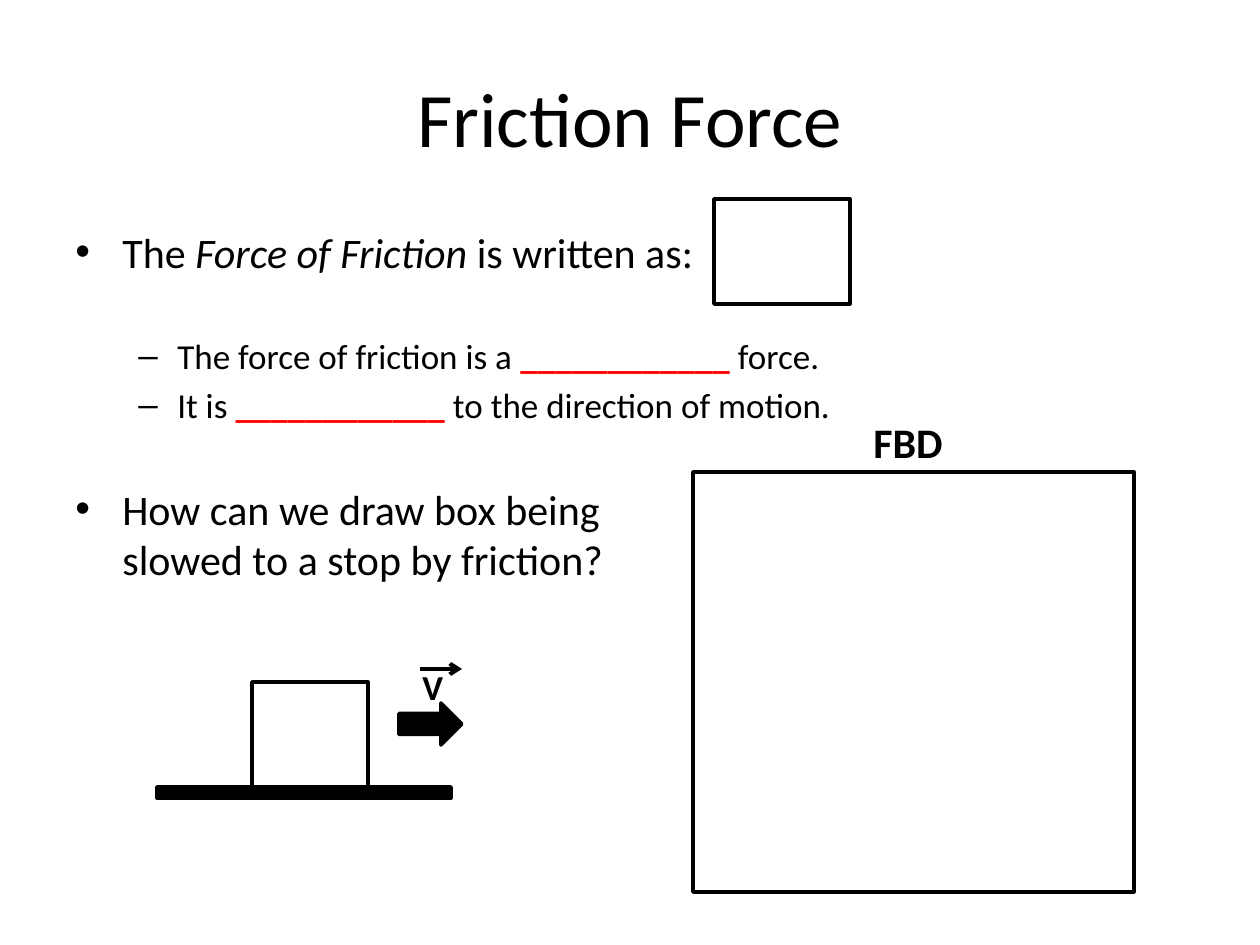
import pptx
import pptx.dml.color
import pptx.enum.shapes
import pptx.enum.text
import pptx.oxml.ns
import pptx.util
from lxml import etree

PX = 914400 // 126
COLORS = {"ink": "000000", "blank": "FF0000"}
SHAPES = pptx.enum.shapes.MSO_SHAPE
ALIGN = pptx.enum.text.PP_ALIGN
ANCHOR = pptx.enum.text.MSO_ANCHOR
Pt = pptx.util.Pt
qn = pptx.oxml.ns.qn


def px(*vals):
    return [pptx.util.Emu(val * PX) for val in vals]


def hue(name):
    return pptx.dml.color.RGBColor.from_string(COLORS[name])


class Deck:
    face = "Calibri"

    def __init__(self):
        self.prs = pptx.Presentation()
        self.prs.slide_width, self.prs.slide_height = px(1260, 945)
        self.slide = self.prs.slides.add_slide(self.prs.slide_layouts[5])
        self.items = self.slide.shapes

    def run(self, para, text, size, color="ink", bold=False, italic=False):
        run = para.add_run()
        run.text = text
        font = run.font
        font.name, font.size = self.face, Pt(size)
        font.bold, font.italic = bold, italic
        font.color.rgb = hue(color)

    def title(self, text, box):
        shape = self.items.title
        shape.left, shape.top, shape.width, shape.height = px(*box)
        shape.text_frame.vertical_anchor = ANCHOR.MIDDLE
        para = shape.text_frame.paragraphs[0]
        para.alignment = ALIGN.CENTER
        self.run(para, text, 44)

    def text(self, box, wrap=True):
        frame = self.items.add_textbox(*px(*box)).text_frame
        frame.word_wrap = wrap
        return frame

    def label(self, text, size, box):
        para = self.text(box, wrap=False).paragraphs[0]
        self.run(para, text, size, bold=True)

    def bullet(self, para, mark, left, hang, gap):
        props = para._p.get_or_add_pPr()
        props.set("marL", str(left * PX))
        props.set("indent", str(-hang * PX))
        etree.SubElement(props, qn("a:buFont")).set("typeface", "Arial")
        etree.SubElement(props, qn("a:buChar")).set("char", mark)
        para.space_before = Pt(gap)

    def shape(self, kind, box, fill=None):
        shape = self.items.add_shape(kind, *px(*box))
        shape.shadow.inherit = False
        if fill:
            shape.fill.solid()
            shape.fill.fore_color.rgb = hue(fill)
        else:
            shape.fill.background()
        shape.line.color.rgb = hue("ink")
        shape.line.width = Pt(2)

    def arrow(self, x1, y1, x2, y2):
        kind = pptx.enum.shapes.MSO_CONNECTOR.STRAIGHT
        line = self.items.add_connector(kind, *px(x1, y1, x2, y2))
        line.line.color.rgb = hue("ink")
        line.line.width = Pt(2.25)
        stroke = line.line._get_or_add_ln()
        etree.SubElement(stroke, qn("a:tailEnd")).set("type", "arrow")
        etree.SubElement(line._element.spPr, qn("a:effectLst"))


def main():
    deck = Deck()
    deck.title("Friction Force", (63, 38, 1134, 158))

    # Notes: two main points, the first with two sub-points
    frame = deck.text((63, 220, 1134, 624))
    top = {"mark": "•", "left": 47, "hang": 47}
    sub = {"mark": "–", "left": 102, "hang": 39}

    para = frame.paragraphs[0]
    deck.bullet(para, gap=0, **top)
    deck.run(para, "The ", 24)
    deck.run(para, "Force of Friction ", 24, italic=True)
    deck.run(para, "is written as:", 24)

    for gap, start, end in (
        (33, "The force of friction is a ", " force."),
        (4, "It is ", " to the direction of motion."),
    ):
        para = frame.add_paragraph()
        deck.bullet(para, gap=gap, **sub)
        deck.run(para, start, 20)
        deck.run(para, "_" * 12, 20, "blank", bold=True)
        deck.run(para, end, 20)

    para = frame.add_paragraph()
    deck.bullet(para, gap=33, **top)
    deck.run(para, "How can we draw box being ", 24)
    para.add_line_break()
    deck.run(para, "slowed to a stop by friction?", 24)

    # Free body diagram area
    deck.shape(SHAPES.RECTANGLE, (693, 472, 441, 420))
    deck.label("FBD", 24, (861, 410, 96, 63))

    # Box sliding on the ground
    deck.shape(SHAPES.RECTANGLE, (157, 787, 294, 11), "ink")
    deck.shape(SHAPES.RECTANGLE, (252, 682, 116, 105))

    # Velocity vector
    deck.label("V", 20, (410, 659, 47, 55))
    deck.arrow(420, 669, 462, 669)
    deck.shape(SHAPES.RIGHT_ARROW, (399, 703, 63, 42), "ink")

    # Answer box for the symbol
    deck.shape(SHAPES.RECTANGLE, (714, 199, 136, 105))

    deck.prs.save("out.pptx")


if __name__ == "__main__":
    main()
